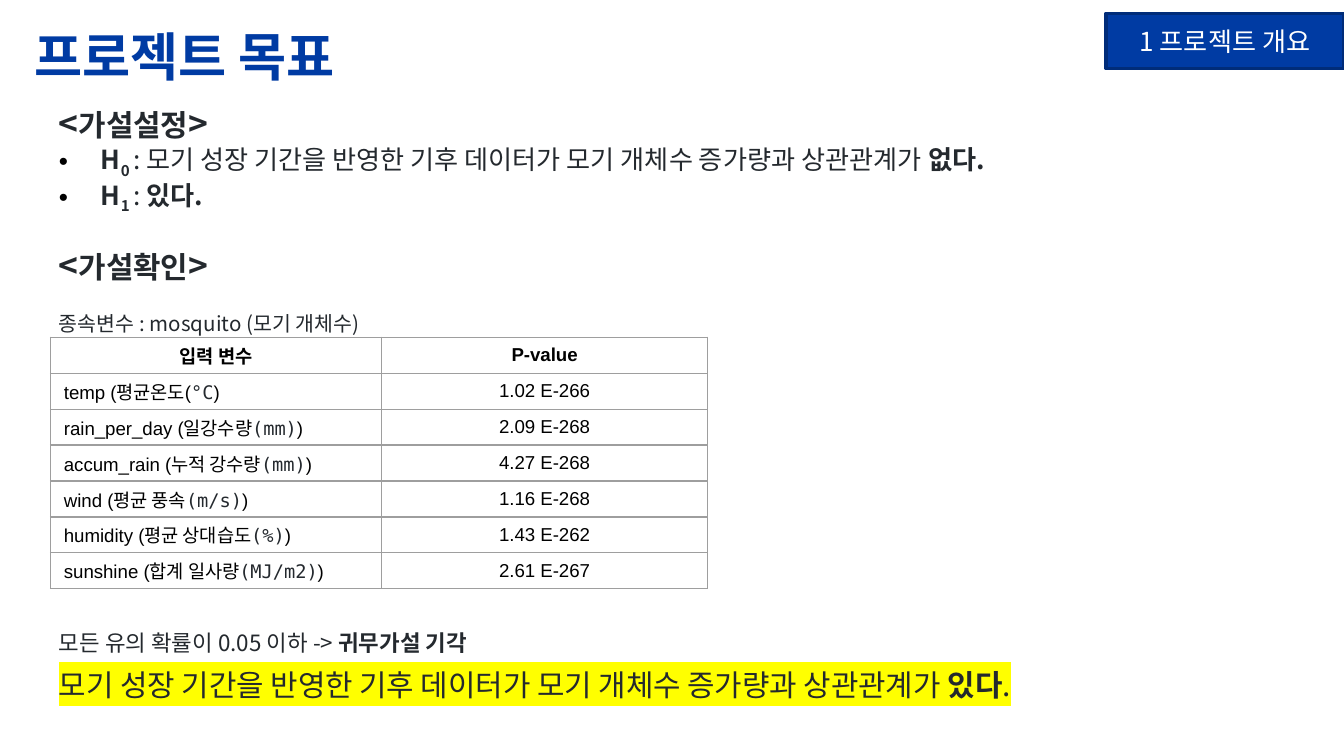
"""Build the project-goal slide with its hypotheses and p-value table."""
from dataclasses import dataclass
from typing import Optional

from lxml.etree import SubElement
from pptx import Presentation
from pptx.dml.color import RGBColor
from pptx.enum.shapes import MSO_SHAPE
from pptx.enum.text import MSO_ANCHOR as Anchor, PP_ALIGN as Align
from pptx.oxml import parse_xml
from pptx.oxml.ns import nsdecls, qn
from pptx.util import Pt

BLUE = RGBColor(0x00, 0x3B, 0xA3)
NAVY = RGBColor(0x00, 0x2C, 0x79)
INK = RGBColor(0x24, 0x29, 0x2E)
BLACK = RGBColor(0, 0, 0)
WHITE = RGBColor(0xFF, 0xFF, 0xFF)
YELLOW = RGBColor(0xFF, 0xFF, 0x00)
GREY = RGBColor(0x9E, 0x9E, 0x9E)
SANS, MONO, ARIAL = "Noto Sans CJK KR", "DejaVu Sans Mono", "Arial"


@dataclass
class Run:
    text: str
    size: float = 14
    bold: bool = False
    color: RGBColor = INK
    font: str = SANS
    subscript: bool = False
    highlight: Optional[RGBColor] = None


@dataclass
class Para:
    runs: list[Run]
    before: float = 0
    bullet: bool = False
    align: Align = Align.LEFT


@dataclass
class Variable:
    name: str
    unit: str
    p_value: str


def heading(text: str, before: float = 0) -> Para:
    return Para([Run("<", 18, True), Run(text, 16, True), Run(">", 18, True)], before)


def hypothesis(index: str, claim: str, verdict: str) -> Para:
    return Para([Run("H", bold=True), Run(f"{index} ", bold=True, subscript=True),
                 Run(f": {claim}"), Run(verdict, bold=True)], bullet=True)


CLAIM = "모기 성장 기간을 반영한 기후 데이터가 모기 개체수 증가량과 상관관계가 "
BODY = [
    heading("가설설정"),
    hypothesis("0", CLAIM, "없다."),
    hypothesis("1", "", "있다."),
    heading("가설확인", 16),
    Para([Run("종속변수 : mosquito (모기 개체수)", 11)], 14),
    Para([Run("모든 유의 확률이 0.05 이하 -> ", 12), Run("귀무가설 기각", 12, True)], 157),
    Para([Run(CLAIM, 16, highlight=YELLOW), Run("있다", 16, True, highlight=YELLOW),
          Run(".", 16, highlight=YELLOW)], 6),
]
VARIABLES = [
    Variable("temp (평균온도(", "°C", "1.02 E-266"),
    Variable("rain_per_day (일강수량", "(mm)", "2.09 E-268"),
    Variable("accum_rain (누적 강수량", "(mm)", "4.27 E-268"),
    Variable("wind (평균 풍속", "(m/s)", "1.16 E-268"),
    Variable("humidity (평균 상대습도", "(%)", "1.43 E-262"),
    Variable("sunshine (합계 일사량", "(MJ/m2)", "2.61 E-267"),
]


def add_run(p, run: Run) -> None:
    r = p.add_run()
    r.text = run.text
    r.font.size, r.font.bold, r.font.name = Pt(run.size), run.bold, run.font
    r.font.color.rgb = run.color
    rPr = r._r.get_or_add_rPr()
    if run.subscript:
        rPr.set("baseline", "-25000")
    if run.highlight is not None:
        rPr.find(qn("a:latin")).addprevious(parse_xml(
            f'<a:highlight {nsdecls("a")}><a:srgbClr val="{run.highlight}"/></a:highlight>'))


def write(tf, paras: list[Para]) -> None:
    for i, para in enumerate(paras):
        p = tf.add_paragraph() if i else tf.paragraphs[0]
        p.alignment = para.align
        if para.before:
            p.space_before = Pt(para.before)
        if para.bullet:
            pPr = p._p.get_or_add_pPr()
            pPr.set("marL", str(Pt(22.5)))
            pPr.set("indent", str(-Pt(22.5)))
            color = SubElement(pPr, qn("a:buClr"))
            SubElement(color, qn("a:srgbClr"), val=str(BLACK))
            SubElement(pPr, qn("a:buFont"), typeface=ARIAL)
            SubElement(pPr, qn("a:buChar"), char="•")
        for run in para.runs:
            add_run(p, run)


def add_text(s, left: float, top: float, width: float, height: float,
             paras: list[Para], anchor: Anchor = Anchor.TOP) -> None:
    tf = s.shapes.add_textbox(Pt(left), Pt(top), Pt(width), Pt(height)).text_frame
    tf.word_wrap = True
    tf.vertical_anchor = anchor
    write(tf, paras)


def add_tag(s, text: str) -> None:
    sp = s.shapes.add_shape(MSO_SHAPE.RECTANGLE, Pt(592.5), Pt(7.2), Pt(127.5), Pt(29.5))
    sp.shadow.inherit = False
    sp.fill.solid()
    sp.fill.fore_color.rgb = BLUE
    sp.line.color.rgb = NAVY
    sp.line.width = Pt(2)
    sp.text_frame.vertical_anchor = Anchor.MIDDLE
    write(sp.text_frame, [Para([Run(text, color=WHITE)], align=Align.CENTER)])


def fill_cell(cell, para: Para) -> None:
    cell.margin_top = cell.margin_bottom = Pt(1.5)
    cell.vertical_anchor = Anchor.MIDDLE
    tcPr = cell._tc.get_or_add_tcPr()
    for side in ("lnL", "lnR", "lnT", "lnB"):
        ln = SubElement(tcPr, qn(f"a:{side}"), w=str(Pt(0.75)))
        SubElement(SubElement(ln, qn("a:solidFill")), qn("a:srgbClr"), val=str(GREY))
    cell.fill.background()
    write(cell.text_frame, [para])


def cell_run(text: str, bold: bool = False) -> Run:
    return Run(text, 10, bold, BLACK, ARIAL)


def add_variables(s, variables: list[Variable]) -> None:
    rows = [[Para([cell_run(title, True)], align=Align.CENTER)
             for title in ("입력 변수", "P-value")]]
    rows += [[Para([cell_run(v.name), Run(v.unit, 10, font=MONO), cell_run(")")]),
              Para([cell_run(v.p_value)], align=Align.CENTER)] for v in variables]
    widths = (177.5, 174.5)
    table = s.shapes.add_table(len(rows), len(widths), Pt(27), Pt(180.7),
                               Pt(sum(widths)), Pt(19.25 * len(rows))).table
    for column, width in zip(table.columns, widths):
        column.width = Pt(width)
    for i, row in enumerate(rows):
        for j, para in enumerate(row):
            fill_cell(table.cell(i, j), para)


def main() -> None:
    prs = Presentation()
    prs.slide_width, prs.slide_height = Pt(720), Pt(405)
    s = prs.slides.add_slide(prs.slide_layouts[6])
    add_text(s, 11.5, 7.2, 607.7, 45.4,
             [Para([Run("프로젝트 목표", 28, True, BLUE)])], Anchor.MIDDLE)
    add_text(s, 24.5, 51.8, 630, 345, BODY)
    add_tag(s, "1 프로젝트 개요")
    add_variables(s, VARIABLES)
    prs.save("out.pptx")


if __name__ == "__main__":
    main()
